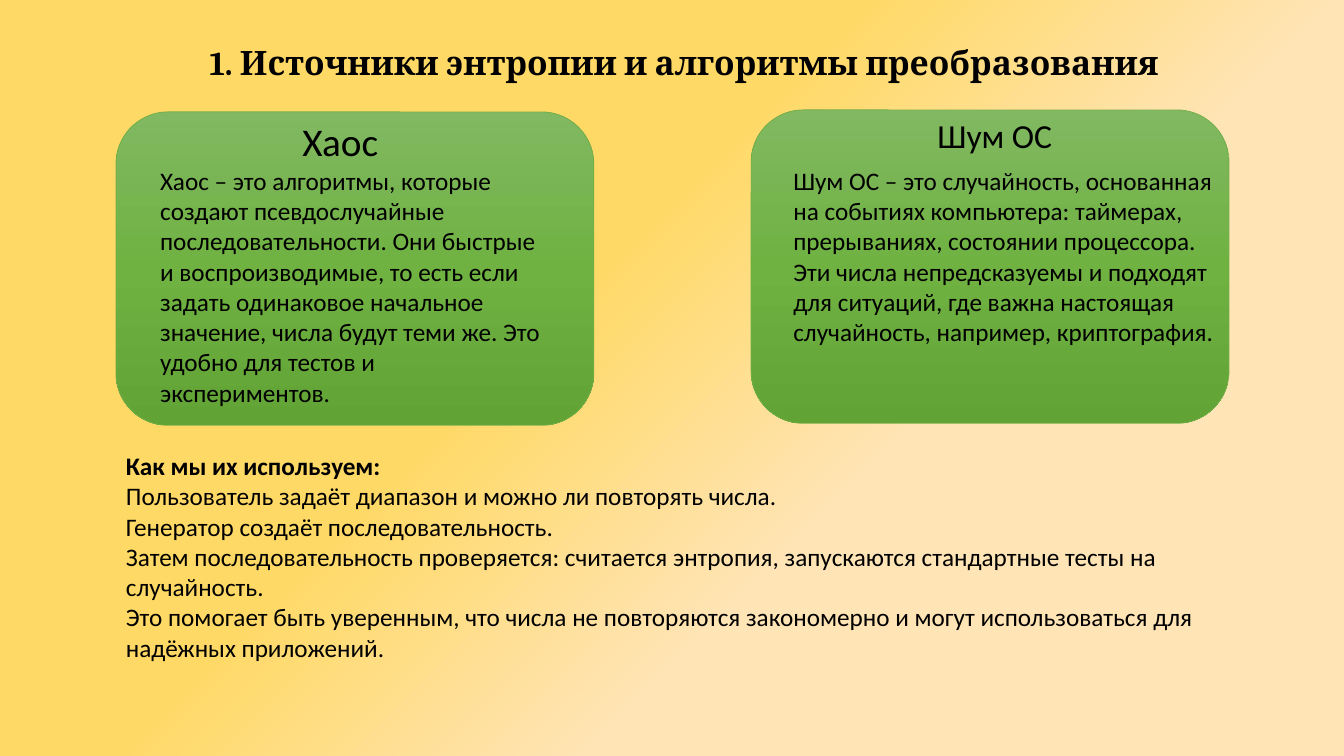
from copy import deepcopy

from pptx import Presentation
from pptx.dml.color import RGBColor
from pptx.enum.shapes import MSO_SHAPE as SHAPE
from pptx.enum.text import MSO_AUTO_SIZE as AUTO, PP_ALIGN as ALIGN
from pptx.util import Inches, Pt


def set_gradient(fill, element, stops, angle):
    """Fill with (share, colour) stops; element is the XML that holds the fill."""
    fill.gradient()
    fill.gradient_angle = angle
    gs_list = element.xpath(".//a:gsLst")[0]
    while len(gs_list) < len(stops):
        gs_list.append(deepcopy(gs_list[0]))
    for stop, (share, color) in zip(fill.gradient_stops, stops):
        stop.position = share
        stop.color.rgb = RGBColor.from_string(color)


def add_text(s, text, x, y, w, h, size=18, font="Calibri", bold_first=False,
             align=ALIGN.LEFT, spacing=None):
    tf = s.shapes.add_textbox(Inches(x), Inches(y), Inches(w), Inches(h)).text_frame
    tf.word_wrap = True
    tf.auto_size = AUTO.SHAPE_TO_FIT_TEXT
    for i, line in enumerate(text.split("\n")):
        p = tf.paragraphs[0] if i == 0 else tf.add_paragraph()
        p.alignment = align
        p.line_spacing = spacing
        r = p.add_run()
        r.text = line
        r.font.size = Pt(size)
        r.font.name = font
        r.font.bold = bold_first and i == 0
        r.font.color.rgb = RGBColor.from_string("000000")


prs = Presentation()
prs.slide_width, prs.slide_height = Inches(13.33), Inches(7.5)
s = prs.slides.add_slide(prs.slide_layouts[6])
set_gradient(s.background.fill, s._element,
             [(0.41, "FFD966"), (0.64, "FFE4B5")], 315)

add_text(s, "1. Источники энтропии и алгоритмы преобразования", 1.63, 0, 10.31, 0.78,
         size=24, font="Cambria", bold_first=True, align=ALIGN.CENTER, spacing=Pt(55.5))

CARD_W, CARD_H, BODY_Y = 4.74, 3.11, 1.59
# card left and top, heading (text, left, width, height, size), body (text, left, width, height)
cards = [
    (1.15, 1.11, ("Хаос", 2.9, 1.24, 0.57, 28),
     ("Хаос – это алгоритмы, которые создают псевдослучайные последовательности. "
      "Они быстрые и воспроизводимые, то есть если задать одинаковое начальное значение, "
      "числа будут теми же. Это удобно для тестов и экспериментов.", 1.49, 3.97, 2.83)),
    (7.45, 1.09, ("Шум ОС", 9.2, 1.56, 0.5, 24),
     ("Шум ОС – это случайность, основанная на событиях компьютера: таймерах, "
      "прерываниях, состоянии процессора. Эти числа непредсказуемы и подходят для "
      "ситуаций, где важна настоящая случайность, например, криптография.",
      7.77, 4.42, 1.92)),
]
for x, y, (heading, head_x, head_w, head_h, size), (body, body_x, body_w, body_h) in cards:
    sp = s.shapes.add_shape(SHAPE.ROUNDED_RECTANGLE, Inches(x), Inches(y),
                            Inches(CARD_W), Inches(CARD_H))
    sp.shadow.inherit = False
    set_gradient(sp.fill, sp._element,
                 [(0, "81B861"), (0.5, "6FB242"), (1, "62A336")], 270)
    sp.line.color.rgb = RGBColor.from_string("70AD47")
    sp.line.width = Pt(0.5)
    add_text(s, heading, head_x, y, head_w, head_h, size=size)
    add_text(s, body, body_x, BODY_Y, body_w, body_h)

usage = """Как мы их используем:
Пользователь задаёт диапазон и можно ли повторять числа.
Генератор создаёт последовательность.
Затем последовательность проверяется: считается энтропия, запускаются стандартные тесты на случайность.
Это помогает быть уверенным, что числа не повторяются закономерно и могут использоваться для надёжных приложений."""
add_text(s, usage, 1.15, 4.42, 11.82, 2.22, bold_first=True)

prs.save("out.pptx")
